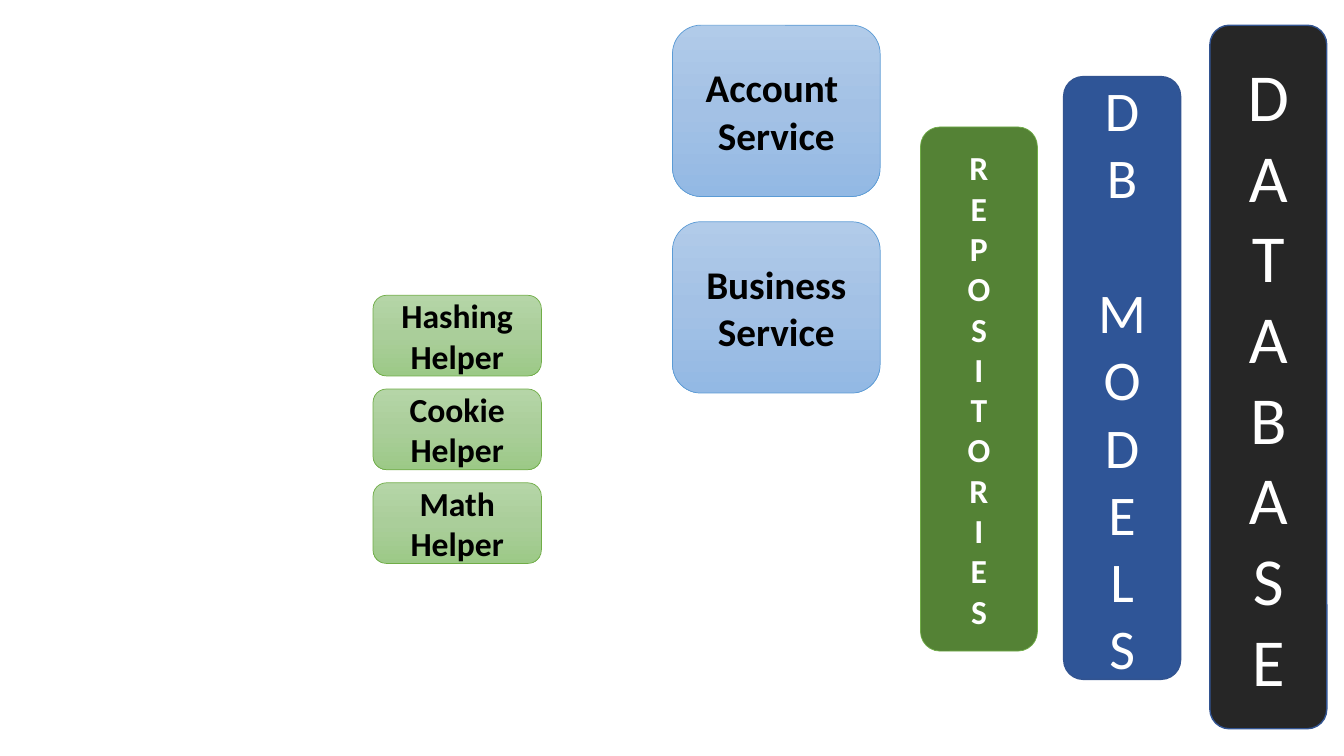
from copy import deepcopy
from dataclasses import dataclass

from pptx import Presentation
from pptx.dml.color import RGBColor as Rgb
from pptx.enum.shapes import MSO_SHAPE as Kind
from pptx.enum.text import MSO_ANCHOR as Anchor, PP_ALIGN as Align
from pptx.oxml.ns import qn
from pptx.shapes.autoshape import Shape
from pptx.slide import Slide
from pptx.util import Inches, Pt


@dataclass(frozen=True)
class Style:
    fill: tuple[str, ...]
    line: str
    width: float
    ink: str
    size: int
    bold: bool


@dataclass(frozen=True)
class Theme:
    font: str = "Calibri"
    leading: float = 1.22
    service: Style = Style(("B1CBE9", "A3C1E5", "93B9E4"), "5B9BD5", 0.5, "000000", 28, True)
    helper: Style = Style(("B5D5A7", "AACE9A", "9CC987"), "70AD47", 0.5, "000000", 24, True)
    data: Style = Style(("262626",), "325491", 1, "FFFFFF", 48, False)
    model: Style = Style(("2F5597",), "325491", 1, "FFFFFF", 40, False)
    store: Style = Style(("548235",), "70AD47", 0.5, "FFFFFF", 24, True)


@dataclass(frozen=True)
class Stack:
    left: float
    top: float
    width: float
    height: float
    pitch: float
    style: Style
    labels: tuple[str, ...]


@dataclass(frozen=True)
class Column:
    left: float
    top: float
    height: float
    style: Style
    label: str


THEME = Theme()
COLUMN_WIDTH = 1.16

STACKS = (
    Stack(6.67, 0.25, 2.06, 1.7, 1.95, THEME.service,
          ("Account \nService", "Business Service")),
    Stack(3.7, 2.93, 1.67, 0.8, 0.93, THEME.helper,
          ("Hashing\nHelper", "Cookie\nHelper", "Math\nHelper")),
)
COLUMNS = (
    Column(12, 0.25, 6.98, THEME.data, "DATABASE"),
    Column(10.55, 0.76, 5.98, THEME.model, "DB MODELS"),
    Column(9.13, 1.26, 5.2, THEME.store, "REPOSITORIES"),
)


def paint(shape: Shape, tints: tuple[str, ...]) -> None:
    fill = shape.fill
    if len(tints) == 1:
        fill.solid()
        fill.fore_color.rgb = Rgb.from_string(tints[0])
        return
    fill.gradient()
    fill.gradient_angle = 270
    first = next(shape.element.iter(qn("a:gs")))
    first.addnext(deepcopy(first))
    for index, (stop, tint) in enumerate(zip(fill.gradient_stops, tints)):
        stop.position = index / (len(tints) - 1)
        stop.color.rgb = Rgb.from_string(tint)


def add_box(slide: Slide, left: float, top: float, width: float, height: float,
            style: Style, label: str) -> Shape:
    box = slide.shapes.add_shape(
        Kind.ROUNDED_RECTANGLE, Inches(left), Inches(top), Inches(width), Inches(height))
    box.shadow.inherit = False
    paint(box, style.fill)
    box.line.color.rgb = Rgb.from_string(style.line)
    box.line.width = Pt(style.width)
    frame = box.text_frame
    frame.word_wrap = True
    frame.vertical_anchor = Anchor.MIDDLE
    frame.text = label
    for para in frame.paragraphs:
        para.alignment = Align.CENTER
        font = para.font
        font.name = THEME.font
        font.size = Pt(style.size)
        font.bold = style.bold
        font.color.rgb = Rgb.from_string(style.ink)
    return box


def add_stack(slide: Slide, stack: Stack) -> None:
    for row, label in enumerate(stack.labels):
        add_box(slide, stack.left, stack.top + row * stack.pitch,
                stack.width, stack.height, stack.style, label)


def add_column(slide: Slide, column: Column) -> None:
    words = column.label.split()
    box = add_box(slide, column.left, column.top, COLUMN_WIDTH, column.height,
                  column.style, "\n".join("".join(words)))
    start = 0
    for word in words[:-1]:
        start += len(word)
        gap = Pt(column.style.size * THEME.leading)
        box.text_frame.paragraphs[start].space_before = gap


def main() -> None:
    deck = Presentation()
    deck.slide_width = Inches(13.33)
    deck.slide_height = Inches(7.5)
    slide = deck.slides.add_slide(deck.slide_layouts[6])
    for stack in STACKS:
        add_stack(slide, stack)
    for column in COLUMNS:
        add_column(slide, column)
    deck.save("out.pptx")


if __name__ == "__main__":
    main()
